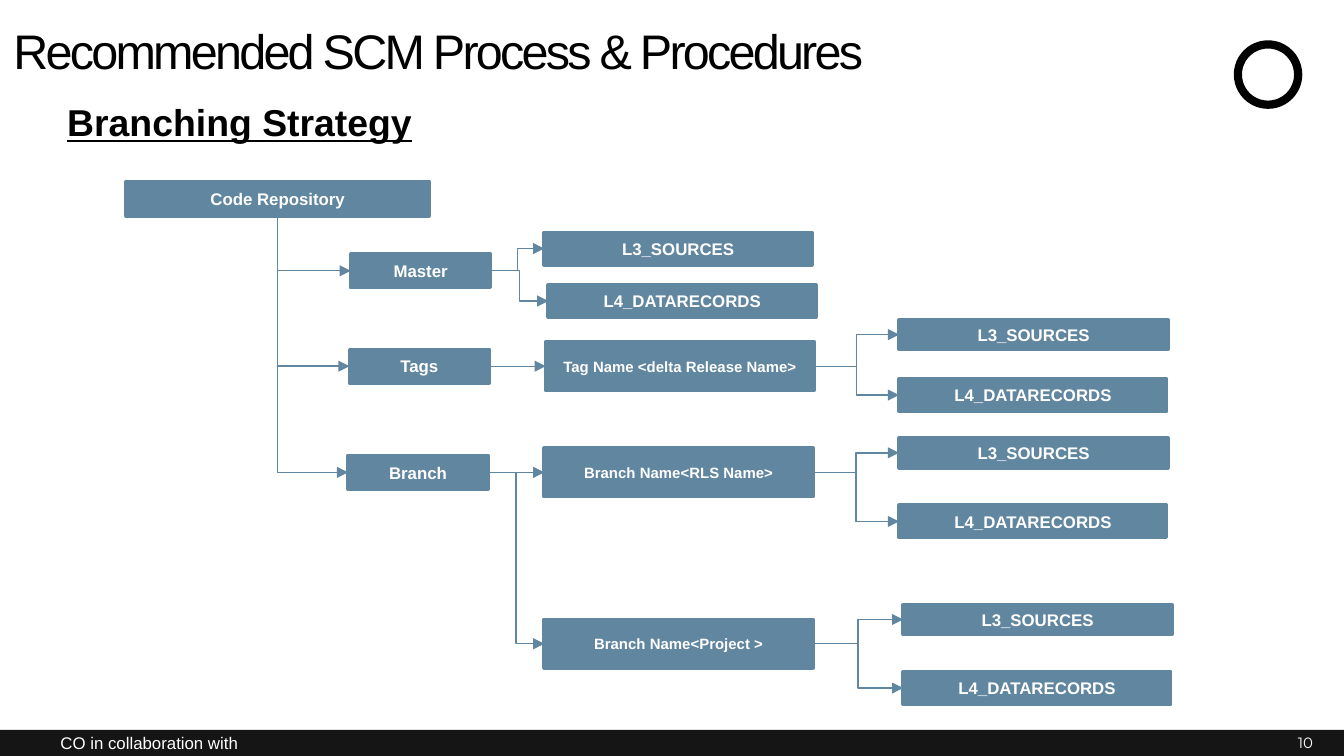
from dataclasses import dataclass

from lxml.etree import SubElement
from pptx import Presentation
from pptx.dml.color import RGBColor
from pptx.enum.shapes import MSO_CONNECTOR, MSO_SHAPE
from pptx.enum.text import MSO_ANCHOR, PP_ALIGN
from pptx.oxml.ns import qn
from pptx.util import Inches, Pt

CELL = 0.1  # the grid has 100 columns and 56.25 rows
COLUMNS, ROWS = 100, 56.25
STEEL, INK, WHITE, BLACK = "61869F", "151515", "FFFFFF", "000000"


def grid(cells):
    return Inches(cells * CELL)


def color(hex_code):
    return RGBColor.from_string(hex_code)


@dataclass
class Box:
    """A rectangle in grid columns and rows."""
    col: float
    row: float
    width: float
    height: float

    def inner(self, col, row, width, height):
        return Box(self.col + col, self.row + row, width, height)

    @property
    def right(self):
        return self.col + self.width

    @property
    def middle(self):
        return self.row + self.height / 2

    def place(self):
        return [grid(v) for v in (self.col, self.row, self.width, self.height)]


def write(shape, text, size, ink, font="Arial", align=PP_ALIGN.LEFT,
          anchor=MSO_ANCHOR.TOP, bold=False):
    frame = shape.text_frame
    frame.word_wrap = True
    frame.vertical_anchor = anchor
    frame.margin_left = frame.margin_right = 0
    frame.margin_top = frame.margin_bottom = 0
    paragraph = frame.paragraphs[0]
    paragraph.alignment = align
    run = paragraph.add_run()
    run.text = text
    run.font.name, run.font.size, run.font.bold = font, Pt(size), bold
    run.font.color.rgb = color(ink)
    return run


def solid(slide, preset, box, fill):
    shape = slide.shapes.add_shape(preset, *box.place())
    shape.shadow.inherit = False
    shape.fill.solid()
    shape.fill.fore_color.rgb = color(fill)
    shape.line.fill.background()
    return shape


def label(slide, box, text, size, ink, **style):
    return write(slide.shapes.add_textbox(*box.place()), text, size, ink, **style)


def node(slide, box, text, size=9):
    shape = solid(slide, MSO_SHAPE.RECTANGLE, box, STEEL)
    shape.line.color.rgb = color(STEEL)
    shape.line.width = Pt(2)
    write(shape, text, size, WHITE, align=PP_ALIGN.CENTER,
          anchor=MSO_ANCHOR.MIDDLE, bold=True)
    return box


def elbow(slide, col, row, end_col, end_row):
    """Arrow that runs across, up or down at half way, and across again."""
    arrow = slide.shapes.add_connector(
        MSO_CONNECTOR.ELBOW, grid(col), grid(row), grid(end_col), grid(end_row))
    arrow.line.color.rgb = color(STEEL)
    arrow.line.width = Pt(0.75)
    SubElement(arrow.line._get_or_add_ln(), qn("a:tailEnd"), type="triangle")
    SubElement(arrow._element.spPr, qn("a:effectLst"))
    return arrow


def drop(slide, col, row, end_col, end_row):
    """Arrow that runs down and then across: a turned one-bend connector."""
    across, down = end_col - col, end_row - row
    left = (col + end_col - down) / 2
    top = (row + end_row - across) / 2
    properties = elbow(slide, left, top, left + down, top + across)._element.spPr
    properties.find(qn("a:prstGeom")).set("prst", "bentConnector2")
    transform = properties.find(qn("a:xfrm"))
    transform.set("rot", str(270 * 60000))
    transform.set("flipH", "1")


def link(slide, parent, child):
    elbow(slide, parent.right, parent.middle, child.col, child.middle)


def folders(slide, parent, sources, records):
    """The two folders that every release ends in."""
    for text, box in (("L3_SOURCES", sources), ("L4_DATARECORDS", records)):
        link(slide, parent, node(slide, box, text))


def header(slide, box):
    title = label(slide, box.inner(1, 1.55, 85.3, 6.1),
                  "Recommended SCM Process & Procedures", 26, BLACK)
    title._r.get_or_add_rPr().set("spc", "-150")
    subtitle = label(slide, box.inner(5, 7.4, 44.1, 42.1),
                     "Branching Strategy", 20, BLACK, bold=True)
    subtitle.font.underline = True
    # Plain ring in the logo's place
    ring = solid(slide, MSO_SHAPE.DONUT, box.inner(91.8, 3, 5.1, 5.1), BLACK)
    ring.adjustments[0] = 0.12


def footer(slide, box):
    solid(slide, MSO_SHAPE.RECTANGLE, box, INK)
    label(slide, box.inner(4.5, 0, 68.9, box.height), "CO in collaboration with",
          9, WHITE, anchor=MSO_ANCHOR.MIDDLE)
    label(slide, box.inner(91.6, 0, 6.1, box.height), "10", 8, WHITE,
          font="Montserrat", align=PP_ALIGN.RIGHT, anchor=MSO_ANCHOR.MIDDLE)


def branch_tree(slide, box):
    # Repository and its three areas
    root = node(slide, box.inner(0, 0, 22.5, 2.6), "Code Repository")
    areas = {}
    for text, col, row in (("Master", 16.7, 5.4), ("Tags", 16.6, 12.5),
                           ("Branch", 16.5, 20.4)):
        area = node(slide, box.inner(col, row, 10.4, 2.5), text)
        drop(slide, root.col + root.width / 2, root.row + root.height,
             area.col, area.middle)
        areas[text] = area

    # Master holds the folders directly
    folders(slide, areas["Master"], box.inner(31.1, 3.8, 19.9, 2.4),
            box.inner(31.4, 7.7, 19.9, 2.4))

    # Named tags and branches, each with its folders
    for area, text, col, row, folder_col, sources_row, records_row in (
            ("Tags", "Tag Name <delta Release Name>", 31.2, 11.95, 57.5, 10.3, 14.7),
            ("Branch", "Branch Name<RLS Name>", 31.1, 19.85, 57.5, 19.1, 24.1),
            ("Branch", "Branch Name<Project >", 31.1, 32.6, 57.8, 31.5, 36.5)):
        release = node(slide, box.inner(col, row, 20, 3.6), text, size=8)
        link(slide, areas[area], release)
        folders(slide, release, box.inner(folder_col, sources_row, 20, 2.2),
                box.inner(folder_col, records_row, 19.9, 2.4))


def main():
    deck = Presentation()
    deck.slide_width, deck.slide_height = grid(COLUMNS), grid(ROWS)
    slide = deck.slides.add_slide(deck.slide_layouts[6])
    footer(slide, Box(0, 54.3, COLUMNS, ROWS - 54.3))
    header(slide, Box(0, 0, COLUMNS, 12))
    branch_tree(slide, Box(9.4, 13.5, 77.8, 38.9))
    deck.save("out.pptx")


if __name__ == "__main__":
    main()
